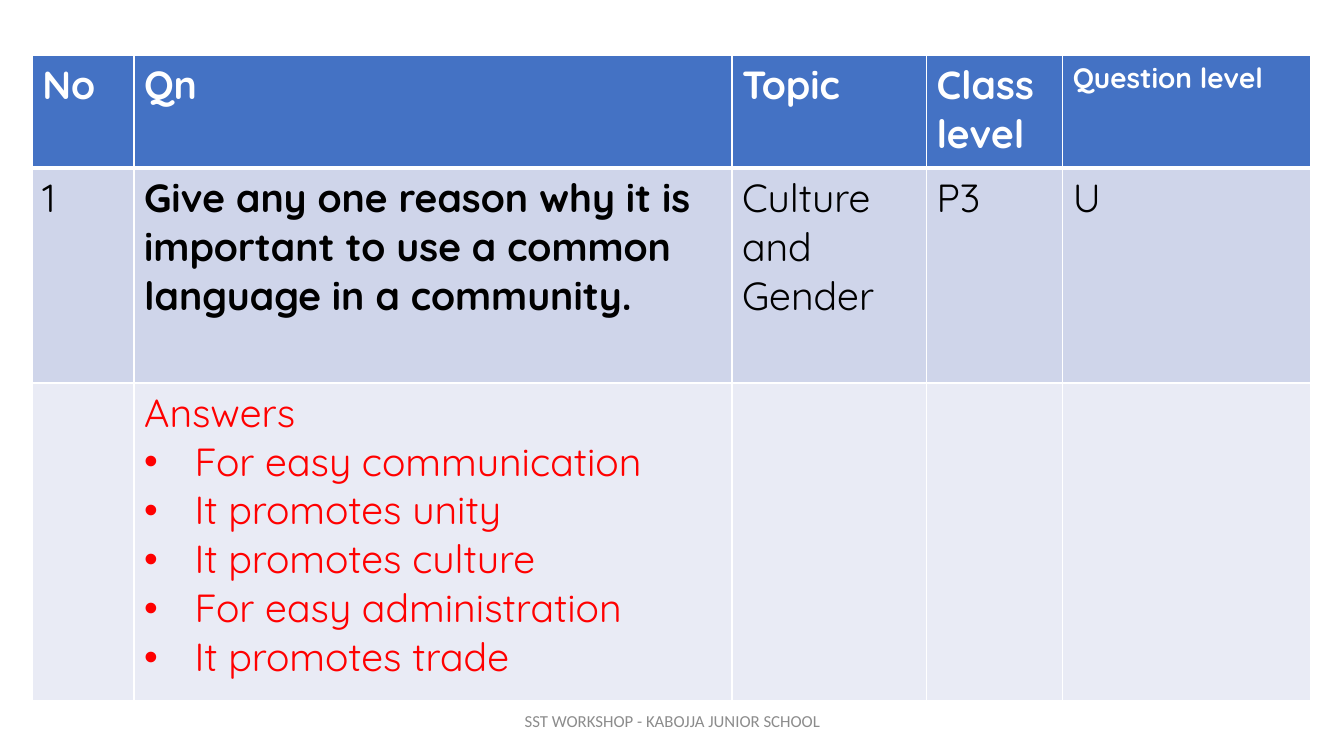
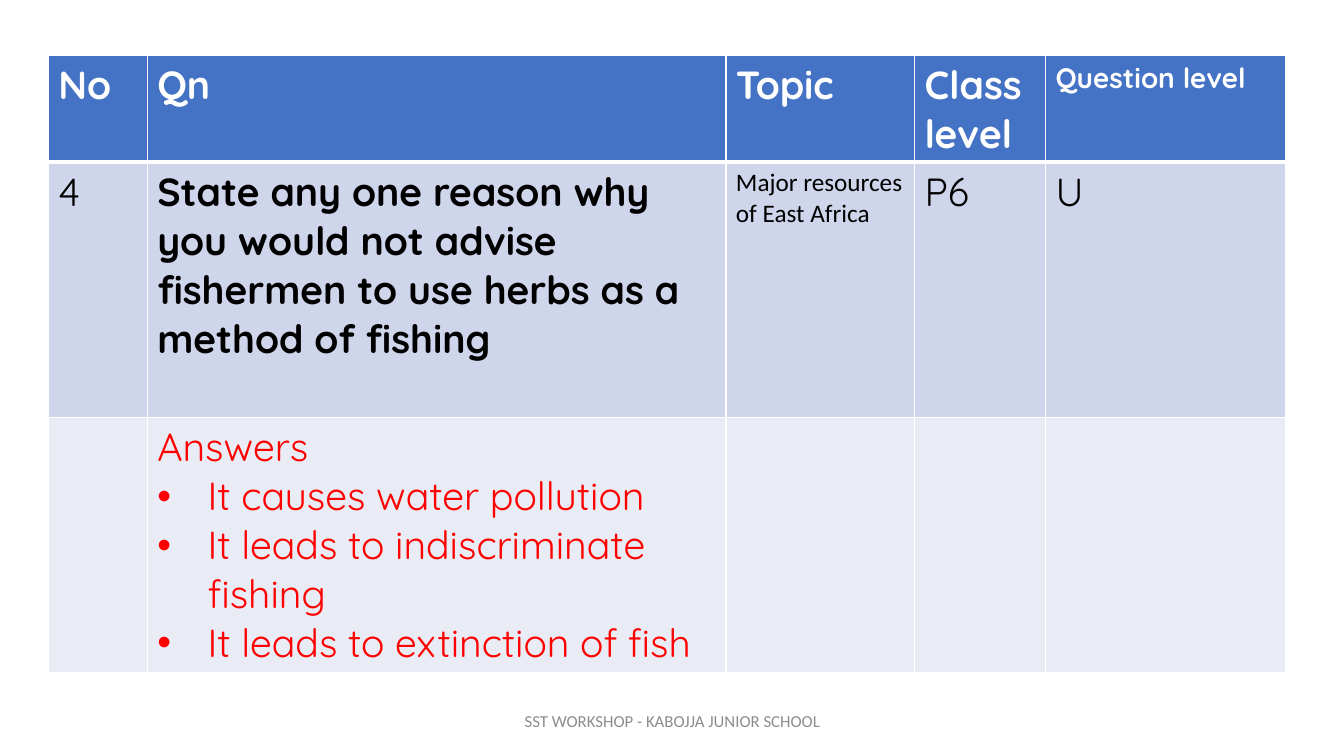
from pptx import Presentation
from pptx.dml.color import RGBColor
from pptx.enum.text import MSO_ANCHOR, PP_ALIGN
from pptx.oxml.ns import qn
from pptx.util import Inches, Pt
from lxml.etree import SubElement

# Shared look
WHITE = RGBColor(0xFF, 0xFF, 0xFF)
BLACK = RGBColor(0, 0, 0)
RED = RGBColor(0xFF, 0, 0)
GREY = RGBColor(0x8C, 0x8C, 0x8C)
BLUE = RGBColor(0x44, 0x72, 0xC4)
BAND = RGBColor(0xCF, 0xD5, 0xEA)
PALE = RGBColor(0xE9, 0xEB, 0xF5)
FONT, PLAIN = "Quicksand", "Calibri"
HEADS = ["No", "Qn", "Topic", "Class level", "Question level"]
FOOTER = "SST WORKSHOP - KABOJJA JUNIOR SCHOOL"

# Each question with the layout of its table
SLIDES = [
    {
        "left": 0.32,
        "cols": [1.01, 5.93, 1.93, 1.35, 2.46],
        "rows": [1.12, 2.13, 3.15],
        "question": [
            "1",
            "Give any one reason why it is important to use a common "
            "language in a community.",
            "Culture and Gender", "P3", "U",
        ],
        "answers": [
            "For easy communication", "It promotes unity",
            "It promotes culture", "For easy administration",
            "It promotes trade",
        ],
        "topic": (28, FONT),
    },
    {
        "left": 0.48,
        "cols": [0.98, 5.74, 1.87, 1.3, 2.38],
        "rows": [1.06, 2.53, 2.53],
        "question": [
            "4",
            "State any one reason why you would not advise fishermen to use "
            "herbs as a method of fishing",
            "Major resources of East Africa", "P6", "U",
        ],
        "answers": [
            "It causes water pollution",
            "It leads to indiscriminate fishing",
            "It leads to extinction of fish",
        ],
        "topic": (18, PLAIN),
    },
]


def style(para, color, size=28, font=FONT, bold=False):
    for run in para.runs:
        run.font.size = Pt(size)
        run.font.name = font
        run.font.bold = bold
        run.font.color.rgb = color


def border(cell, top=1, bottom=1):
    props = cell._tc.get_or_add_tcPr()
    for side, width in (("L", 1), ("R", 1), ("T", top), ("B", bottom)):
        line = SubElement(props, qn("a:ln" + side), w=str(Pt(width)))
        fill = SubElement(line, qn("a:solidFill"))
        SubElement(fill, qn("a:srgbClr"), val=str(WHITE))


def paint(cell, color):
    cell.fill.solid()
    cell.fill.fore_color.rgb = color


def bullet(para):
    props = para._p.get_or_add_pPr()
    props.set("marL", str(Inches(0.5)))
    props.set("indent", str(-Inches(0.5)))
    SubElement(props, qn("a:buFont"), typeface="Arial")
    SubElement(props, qn("a:buChar"), char="•")


def add_grid(slide, data):
    cols, rows = data["cols"], data["rows"]
    frame = slide.shapes.add_table(
        len(rows), len(cols), Inches(data["left"]), Inches(0.55),
        Inches(sum(cols)), Inches(sum(rows)))
    table = frame.table
    for col, width in zip(table.columns, cols):
        col.width = Inches(width)
    for row, height in zip(table.rows, rows):
        row.height = Inches(height)

    for i in range(len(cols)):
        head, ask, reply = (table.cell(r, i) for r in range(3))
        border(head, bottom=3)
        border(ask, top=3)
        border(reply)
        for cell, color in ((head, BLUE), (ask, BAND), (reply, PALE)):
            paint(cell, color)

        # Heading and question
        head.text_frame.text = HEADS[i]
        style(head.text_frame.paragraphs[0], WHITE,
              20 if HEADS[i] == "Question level" else 28, bold=True)
        size, font = data["topic"] if HEADS[i] == "Topic" else (28, FONT)
        ask.text_frame.text = data["question"][i]
        style(ask.text_frame.paragraphs[0], BLACK, size, font,
              bold=HEADS[i] == "Qn")

    # Answers
    text = table.cell(2, HEADS.index("Qn")).text_frame
    text.text = "\n".join(["Answers"] + data["answers"])
    for para in text.paragraphs[1:]:
        bullet(para)
    for para in text.paragraphs:
        style(para, RED)


def add_footer(slide):
    box = slide.shapes.add_textbox(
        Inches(4.42), Inches(6.95), Inches(4.5), Inches(0.4))
    text = box.text_frame
    text.word_wrap = True
    text.vertical_anchor = MSO_ANCHOR.MIDDLE
    text.text = FOOTER
    para = text.paragraphs[0]
    para.alignment = PP_ALIGN.CENTER
    style(para, GREY, 12, PLAIN)


def main():
    deck = Presentation()
    deck.slide_width, deck.slide_height = Inches(13.33), Inches(7.5)
    for data in SLIDES:
        slide = deck.slides.add_slide(deck.slide_layouts[6])
        add_grid(slide, data)
        add_footer(slide)
    deck.save("out.pptx")


if __name__ == "__main__":
    main()
